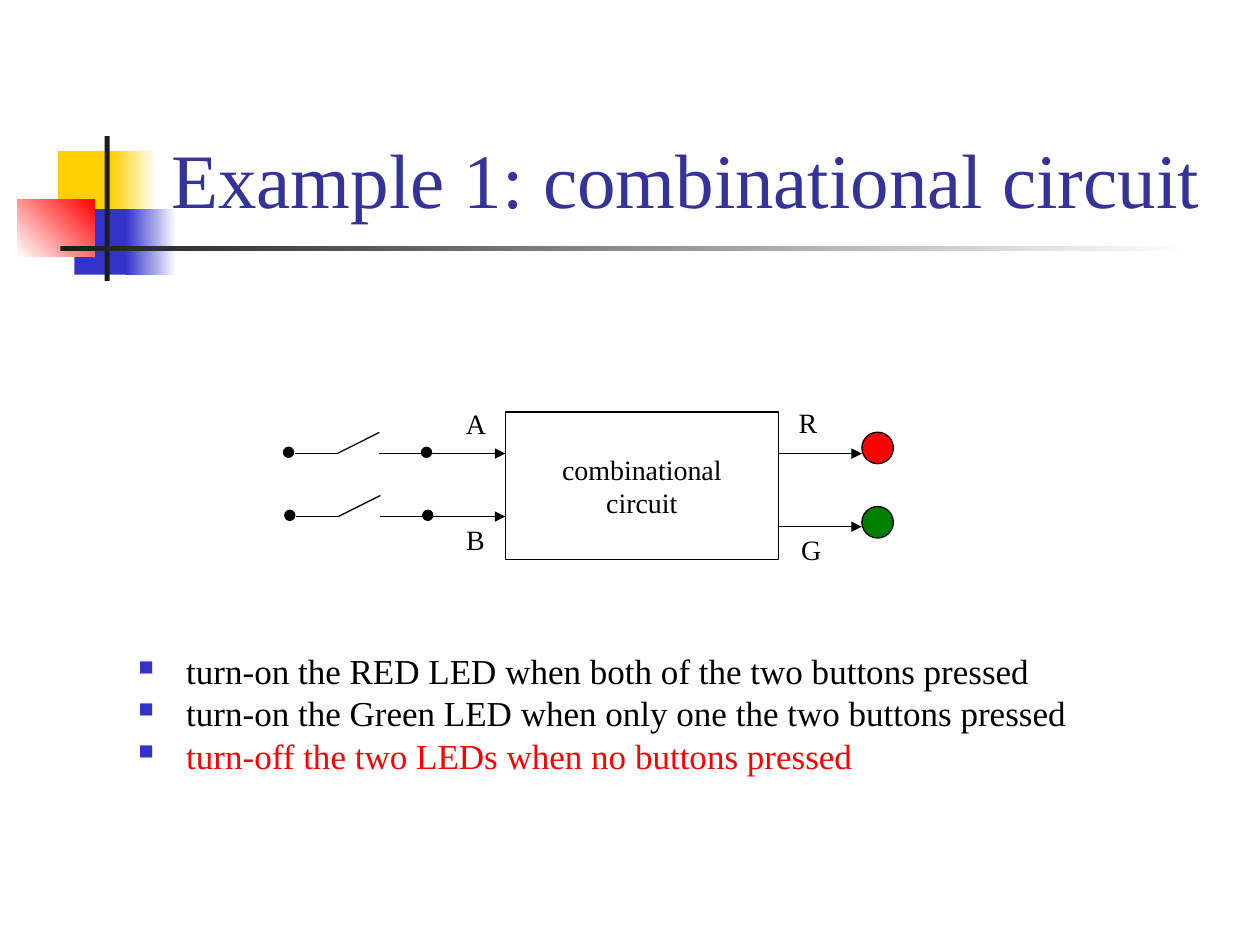
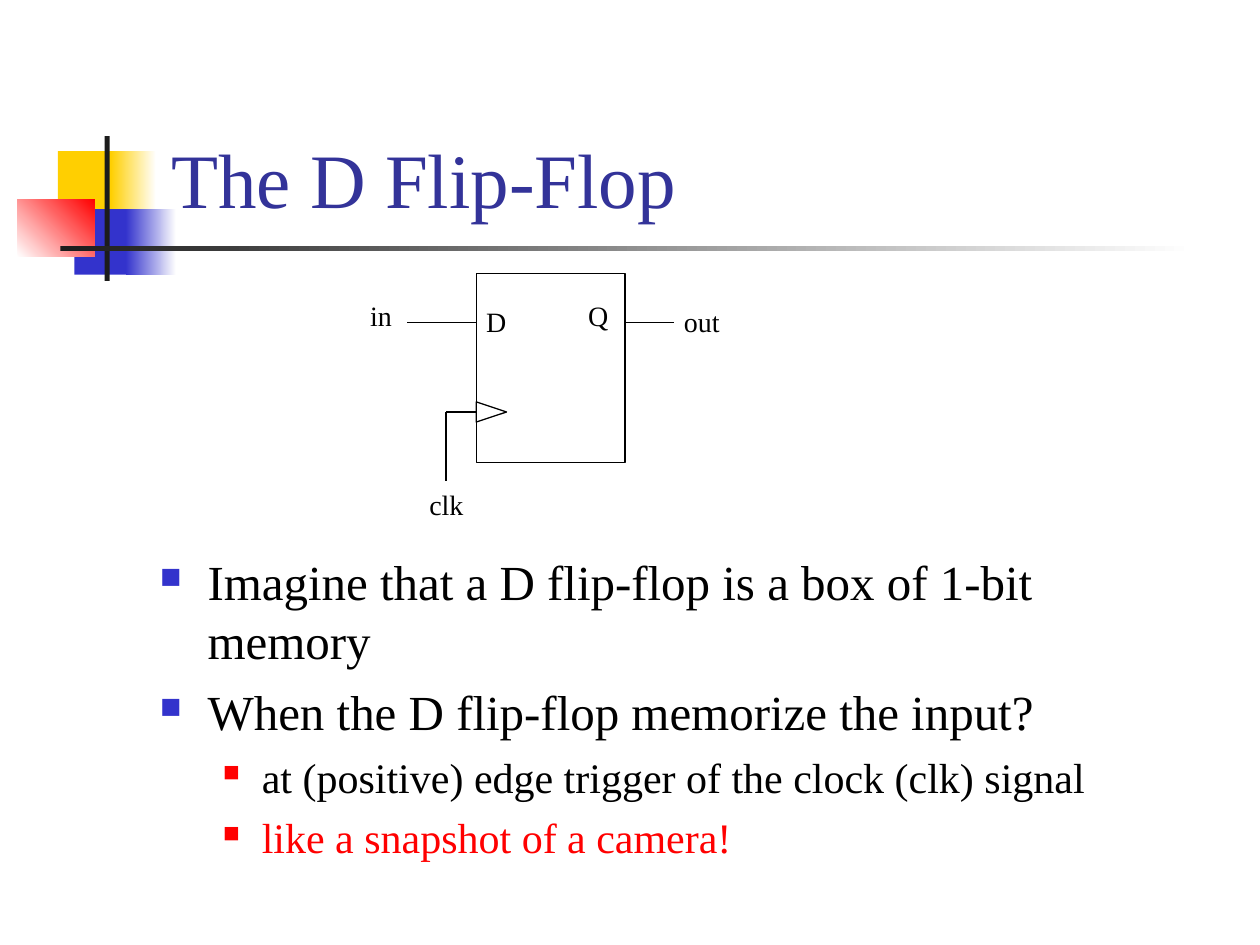
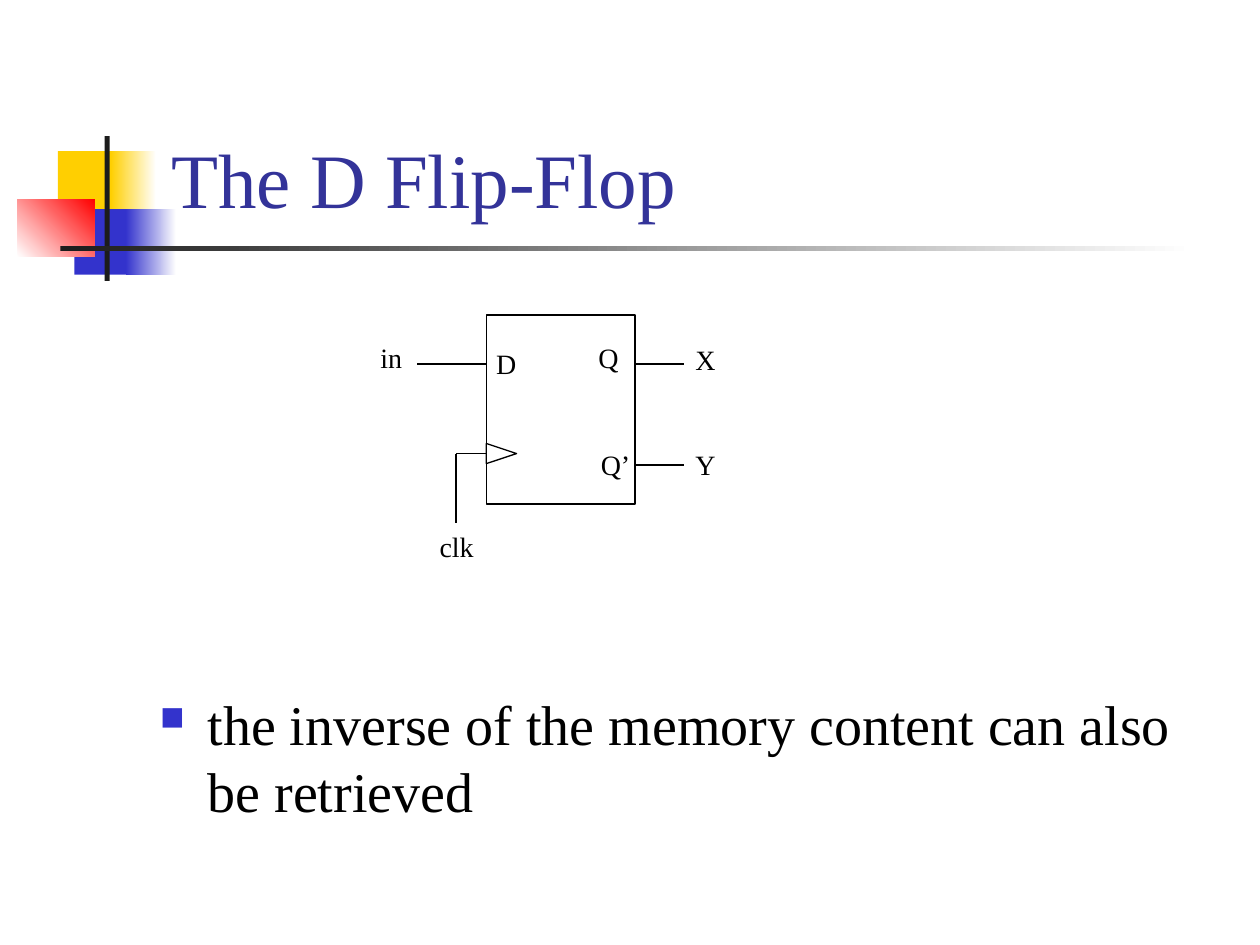
from lxml import etree
from pptx import Presentation
from pptx.dml.color import RGBColor
from pptx.enum.shapes import MSO_CONNECTOR, MSO_SHAPE
from pptx.enum.text import MSO_ANCHOR as Anchor, MSO_AUTO_SIZE as AutoSize, PP_ALIGN as Align
from pptx.oxml.ns import qn
from pptx.util import Inches, Pt

# Shared style
FONT = "Times New Roman"
BLACK, WHITE, RED, GREEN = "000000", "FFFFFF", "FF0000", "008000"
YELLOW, BLUE, DARK, TITLE_COLOR = "FFCF01", "3333CC", "1C1C1C", "333399"
TITLE_BOX = (1.26, 0.23, 8.52, 1.6)
LABEL_HEIGHT = 0.37

# Title ornament: box, colours (two for a gradient), gradient angle
ORNAMENT = [
    ((0.46, 1.2, 0.48, 0.52), [YELLOW], 0),
    ((0.88, 1.2, 0.36, 0.52), [YELLOW, WHITE], 0),
    ((0.59, 1.66, 0.46, 0.52), [BLUE], 0),
    ((1, 1.66, 0.4, 0.52), [BLUE, WHITE], 0),
    ((0.14, 1.58, 0.61, 0.46), [WHITE, RED], 45),
    ((0.83, 1.08, 0.04, 1.15), [DARK], 0),
    ((0.48, 1.95, 9, 0.04), [DARK, WHITE], 0),
]

# Bullet levels: left margin, hanging indent, bullet colour, bullet percent
LEVELS = [(0.38, 0.38, BLUE, 60), (0.81, 0.31, RED, 55)]

# Bullets: text, level, size, colour
CIRCUIT_BULLETS = [
    ("turn-on the RED LED when both of the two buttons pressed", 0, 20, BLACK),
    ("turn-on the Green LED when only one the two buttons pressed", 0, 20, BLACK),
    ("turn-off the two LEDs when no buttons pressed", 0, 20, RED),
]
MEMORY_BULLETS = [
    ("Imagine that a D flip-flop is a box of 1-bit memory", 0, 28, BLACK),
    ("When the D flip-flop memorize the input?", 0, 28, BLACK),
    ("at (positive) edge trigger of the clock (clk) signal", 1, 24, BLACK),
    ("like a snapshot of a camera!", 1, 24, RED),
]
INVERSE_BULLETS = [("the inverse of the memory content can also be retrieved", 0, 32, BLACK)]

# Combinational circuit
CIRCUIT_BOX = (4.01, 3.27, 2.17, 1.17)
SWITCHES = [(2.34, 3.6), (2.35, 4.1)]  # start of each switch's wire
LEDS = [(3.6, 3.43, RED), (4.18, 4.02, GREEN)]  # wire height, LED top, colour
CIRCUIT_LABELS = [("A", 3.6, 3.18, 0.36), ("B", 3.6, 4.1, 0.35),
                  ("R", 6.24, 3.17, 0.35), ("G", 6.26, 4.18, 0.36)]

# Flip-flop parts, measured from the box's top left corner
FLOP_SIZE = (1.18, 1.5)
FLOP_WIRES = [((1.18, 0.39), (1.57, 0.39)), ((0, 0.39), (-0.55, 0.39)),
              ((0, 1.1), (-0.24, 1.1)), ((-0.24, 1.1), (-0.24, 1.65))]
FLOP_LABELS = [("D", -0.02, 0.2, 0.36), ("Q", 0.79, 0.15, 0.36),
               ("in", -0.94, 0.15, 0.37), ("clk", -0.47, 1.65, 0.47)]
OUT_LABELS = [("out", 1.55, 0.2, 0.48)]
INVERSE_WIRES = [((1.18, 1.19), (1.57, 1.19))]
INVERSE_LABELS = [("X", 1.56, 0.17, 0.36), ("Q’", 0.81, 1, 0.46), ("Y", 1.56, 1, 0.36)]


def color(hex_string):
    return RGBColor.from_string(hex_string)


def add_text(paragraph, text, size=16, hex_color=BLACK, align=Align.LEFT, before=0, spacing=None):
    """Write one formatted run into a paragraph."""
    paragraph.alignment = align
    paragraph.space_before = Pt(before)
    if spacing:
        paragraph.line_spacing = spacing
    run = paragraph.add_run()
    run.text = text
    run.font.name, run.font.size = FONT, Pt(size)
    run.font.color.rgb = color(hex_color)


def add_shape(shapes, kind, box, fills=(), line=BLACK, angle=0):
    shape = shapes.add_shape(kind, *map(Inches, box))
    shape.shadow.inherit = False
    if len(fills) == 2:
        shape.fill.gradient()
        shape.fill.gradient_angle = angle
        for stop, hex_color, position in zip(shape.fill.gradient_stops, fills, (0, 1)):
            stop.color.rgb, stop.position = color(hex_color), position
    elif fills:
        shape.fill.solid()
        shape.fill.fore_color.rgb = color(fills[0])
    else:
        shape.fill.background()
    if line:
        shape.line.color.rgb, shape.line.width = color(line), Pt(0.75)
    else:
        shape.line.fill.background()
    return shape


def add_wire(shapes, start, end, arrow=False):
    wire = shapes.add_connector(MSO_CONNECTOR.STRAIGHT, *map(Inches, (*start, *end)))
    wire.line.color.rgb, wire.line.width = color(BLACK), Pt(0.75)
    if arrow:
        etree.SubElement(wire.line._get_or_add_ln(), qn("a:tailEnd"), type="triangle")
    etree.SubElement(wire.element.spPr, qn("a:effectLst"))


def add_label(shapes, text, left, top, width):
    frame = shapes.add_textbox(*map(Inches, (left, top, width, LABEL_HEIGHT))).text_frame
    frame.word_wrap, frame.auto_size = False, AutoSize.SHAPE_TO_FIT_TEXT
    add_text(frame.paragraphs[0], text)


def add_bullet(paragraph, level):
    margin, hanging, hex_color, percent = LEVELS[level]
    paragraph.level = level
    properties = paragraph._p.get_or_add_pPr()
    properties.set("marL", str(Inches(margin)))
    properties.set("indent", str(-Inches(hanging)))
    bullet_color = etree.SubElement(properties, qn("a:buClr"))
    etree.SubElement(bullet_color, qn("a:srgbClr"), val=hex_color)
    etree.SubElement(properties, qn("a:buSzPct"), val=str(percent * 1000))
    etree.SubElement(properties, qn("a:buChar"), char="■")


def add_body(slide, box, bullets, spacing=None):
    frame = slide.shapes.add_textbox(*map(Inches, box)).text_frame
    frame.word_wrap = True
    for index, (text, level, size, hex_color) in enumerate(bullets):
        paragraph = frame.add_paragraph() if index else frame.paragraphs[0]
        add_text(paragraph, text, size=size, hex_color=hex_color,
                 before=size // 4, spacing=spacing)
        add_bullet(paragraph, level)


def add_slide(presentation, text):
    """Start a slide with the ornament behind its title."""
    slide = presentation.slides.add_slide(presentation.slide_layouts[5])
    for box, fills, angle in ORNAMENT:
        add_shape(slide.shapes, MSO_SHAPE.RECTANGLE, box, fills, line=None, angle=angle)
    title = slide.shapes.title
    title.left, title.top, title.width, title.height = map(Inches, TITLE_BOX)
    frame = title.text_frame
    frame.auto_size, frame.word_wrap = AutoSize.NONE, True
    frame.vertical_anchor = Anchor.BOTTOM
    add_text(frame.paragraphs[0], text, size=44, hex_color=TITLE_COLOR)
    slide.shapes.element.append(title.element)
    return slide


def draw_circuit(shapes):
    left, top, width, height = CIRCUIT_BOX
    frame = add_shape(shapes, MSO_SHAPE.RECTANGLE, CIRCUIT_BOX).text_frame
    frame.word_wrap, frame.vertical_anchor = False, Anchor.MIDDLE
    add_text(frame.paragraphs[0], "combinational", align=Align.CENTER)
    add_text(frame.add_paragraph(), "circuit", align=Align.CENTER)

    # Switches on the left, each an open lever between two contacts
    step, dot = 0.335, 0.08
    for x, y in SWITCHES:
        hinge, contact, end = (x + step * count for count in (1, 2, 3))
        add_wire(shapes, (hinge, y), (contact, y - step / 2))
        add_wire(shapes, (x, y), (hinge, y))
        add_wire(shapes, (contact, y), (end, y))
        for dot_left in (x - 0.09, end):
            add_shape(shapes, MSO_SHAPE.OVAL, (dot_left, y - 0.05, dot, dot), [BLACK])
        add_wire(shapes, (3.43, y), (left, y), arrow=True)

    # LEDs on the right
    led_left, led_size = 6.84, 0.25
    for y, led_top, hex_color in LEDS:
        add_wire(shapes, (left + width, y), (led_left, y), arrow=True)
        add_shape(shapes, MSO_SHAPE.OVAL, (led_left, led_top, led_size, led_size), [hex_color])
    for label in CIRCUIT_LABELS:
        add_label(shapes, *label)


def draw_flip_flop(shapes, left, top, wires, labels):
    add_shape(shapes, MSO_SHAPE.RECTANGLE, (left, top, *FLOP_SIZE))
    clock = add_shape(shapes, MSO_SHAPE.ISOSCELES_TRIANGLE, (left + 0.04, top + 0.98, 0.16, 0.24))
    clock.rotation = 90
    for start, end in FLOP_WIRES + wires:
        add_wire(shapes, *((left + x, top + y) for x, y in (start, end)))
    for text, x, y, width in FLOP_LABELS + labels:
        add_label(shapes, text, left + x, top + y, width)


def main():
    presentation = Presentation()
    presentation.slide_width, presentation.slide_height = Inches(10), Inches(7.5)

    # Combinational circuit
    slide = add_slide(presentation, "Example 1: combinational circuit")
    add_body(slide, (1, 5.17, 8.5, 1.25), CIRCUIT_BULLETS, spacing=0.8)
    draw_circuit(slide.shapes.add_group_shape().shapes)

    # Flip-flop with one output
    slide = add_slide(presentation, "The D Flip-Flop")
    add_body(slide, (1.17, 4.33, 8.5, 2.83), MEMORY_BULLETS)
    draw_flip_flop(slide.shapes.add_group_shape().shapes, 3.78, 2.17, [], OUT_LABELS)

    # Flip-flop with an inverse output
    slide = add_slide(presentation, "The D Flip-Flop")
    add_body(slide, (1.17, 5.42, 8.5, 1.75), INVERSE_BULLETS)
    draw_flip_flop(slide.shapes.add_group_shape().shapes, 3.86, 2.5,
                   INVERSE_WIRES, INVERSE_LABELS)

    presentation.save("out.pptx")


if __name__ == "__main__":
    main()
